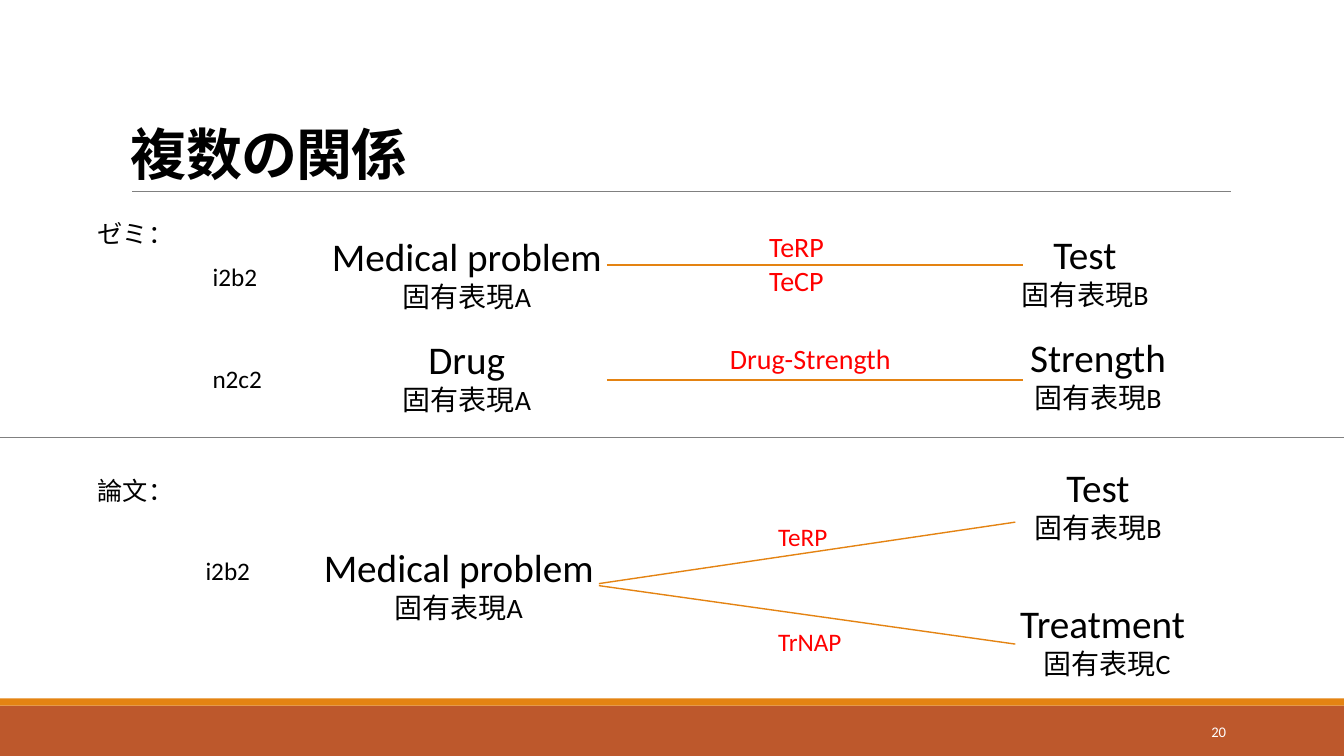
from lxml import etree
from pptx import Presentation
from pptx.dml.color import RGBColor
from pptx.enum.shapes import MSO_CONNECTOR, MSO_SHAPE
from pptx.enum.text import MSO_ANCHOR, MSO_AUTO_SIZE, PP_ALIGN
from pptx.oxml.ns import qn
from pptx.util import Inches, Pt

BLACK = RGBColor(0x00, 0x00, 0x00)
WHITE = RGBColor(0xFF, 0xFF, 0xFF)
RED = RGBColor(0xFF, 0x00, 0x00)
GREY = RGBColor(0x80, 0x80, 0x80)
ORANGE = RGBColor(0xE4, 0x83, 0x12)
RUST = RGBColor(0xBD, 0x58, 0x2C)

LATIN_FONT = "Calibri"
JAPANESE_FONT = "Noto Sans CJK JP"

LEFT, CENTER, RIGHT = PP_ALIGN.LEFT, PP_ALIGN.CENTER, PP_ALIGN.RIGHT
TOP, MIDDLE, BOTTOM = MSO_ANCHOR.TOP, MSO_ANCHOR.MIDDLE, MSO_ANCHOR.BOTTOM
STRAIGHT = MSO_CONNECTOR.STRAIGHT
RECTANGLE = MSO_SHAPE.RECTANGLE
GROW = MSO_AUTO_SIZE.SHAPE_TO_FIT_TEXT
FIXED = MSO_AUTO_SIZE.NONE

SLIDE_WIDTH, SLIDE_HEIGHT = 13.33, 7.5
ENTITY_WIDTH, ENTITY_HEIGHT = 3, 0.91
LABEL_HEIGHT = 0.4
LINK_WIDTH = 4.13


def add_text(page, box, lines, color=BLACK, align=LEFT, anchor=TOP,
             font=LATIN_FONT, auto_size=GROW):
    """Place (text, size) lines in a box and return their spans."""
    shape = page.shapes.add_textbox(*(Inches(value) for value in box))
    frame = shape.text_frame
    frame.word_wrap = True
    frame.auto_size = auto_size
    frame.vertical_anchor = anchor
    spans = []
    for index, (text, size) in enumerate(lines):
        para = frame.add_paragraph() if index else frame.paragraphs[0]
        para.alignment = align
        span = para.add_run()
        span.text = text
        span.font.name = font
        span.font.size = Pt(size)
        span.font.color.rgb = color
        east_asian = etree.SubElement(span.font._element, qn("a:ea"))
        east_asian.set("typeface", JAPANESE_FONT)
        spans.append(span)
    return shape, spans


def add_line(page, start, end, color=ORANGE, width=1):
    points = (Inches(value) for value in (*start, *end))
    line = page.shapes.add_connector(STRAIGHT, *points)
    line.line.color.rgb = color
    line.line.width = Pt(width)
    etree.SubElement(line._element.spPr, qn("a:effectLst"))


def add_band(page, top, height, color):
    band = page.shapes.add_shape(RECTANGLE, 0, Inches(top),
                                 Inches(SLIDE_WIDTH), Inches(height))
    band.shadow.inherit = False
    band.fill.solid()
    band.fill.fore_color.rgb = color
    band.line.fill.background()


def add_entity(page, left, top, name, letter):
    add_text(page, (left, top, ENTITY_WIDTH, ENTITY_HEIGHT),
             [(name, 28), (f"固有表現{letter}", 20)], align=CENTER)


def add_label(page, left, top, text, width=1.5):
    add_text(page, (left, top, width, LABEL_HEIGHT), [(text, 18)])


def add_frame(page):
    # Footer bands and slide number
    add_band(page, 7, 0.5, RUST)
    add_band(page, 6.93, 0.07, ORANGE)
    add_text(page, (10.83, 7.06, 1.43, LABEL_HEIGHT), [("20", 10.5)],
             WHITE, RIGHT, MIDDLE, auto_size=FIXED)
    # Title and its rule
    add_line(page, (1.31, 1.9), (12.21, 1.9), GREY, 0.5)
    title, (span,) = add_text(page, (1.2, 0.31, 11, 1.59), [("複数の関係", 40)],
                              anchor=BOTTOM, font=JAPANESE_FONT, auto_size=FIXED)
    title.text_frame.paragraphs[0].line_spacing = 0.85
    span.font.bold = True
    span.font._element.set("spc", "-50")


def add_seminar(page, left, top):
    """One relation line between each pair of entities."""
    add_label(page, left, top, "ゼミ：")
    # Corpus, its offset, entity A, entity B with its left, line offset
    rows = [("i2b2", 0.42, "Medical problem", "Test", 8.39, 0.51),
            ("n2c2", 1.44, "Drug", "Strength", 8.52, 1.65)]
    for corpus, offset, first, second, second_left, line_offset in rows:
        add_label(page, left + 1.14, top + offset, corpus)
        add_entity(page, left + 2.26, top + offset - 0.28, first, "A")
        add_entity(page, left + second_left, top + offset - 0.3, second, "B")
        start = left + 5.15
        add_line(page, (start, top + line_offset),
                 (start + LINK_WIDTH, top + line_offset))
    # Relation names
    add_text(page, (left + 6.66, top + 0.11, 1.31, 0.77),
             [("TeRP", 20), ("TeCP", 20)], RED)
    add_text(page, (left + 6.27, top + 1.22, 1.97, 0.44),
             [("Drug-Strength", 20)], RED)


def add_paper(page, left, top):
    """One entity that branches to two others."""
    add_label(page, left, top, "論文：")
    add_label(page, left + 1.07, top + 0.79, "i2b2")
    add_entity(page, left + 2.18, top + 0.67, "Medical problem", "A")
    # Name, letter, left, top, line start and end, relation and its top
    branches = [("Test", "B", 8.52, -0.12, 1.12, 0.51, "TeRP", 0.45),
                ("Treatment ", "C", 8.61, 1.23, 1.14, 1.72, "TrNAP", 1.49)]
    for name, letter, x, y, start, end, relation, relation_top in branches:
        add_entity(page, left + x, top + y, name, letter)
        add_line(page, (left + 5.07, top + start),
                 (left + 5.07 + LINK_WIDTH, top + end))
        add_text(page, (left + 6.75, top + relation_top, 0.97, LABEL_HEIGHT),
                 [(relation, 18)], RED)


def main():
    deck = Presentation()
    deck.slide_width = Inches(SLIDE_WIDTH)
    deck.slide_height = Inches(SLIDE_HEIGHT)
    page = deck.slides.add_slide(deck.slide_layouts[6])
    add_frame(page)
    add_seminar(page, 0.87, 2.12)
    # Divider between the two halves
    add_line(page, (0, 4.34), (SLIDE_WIDTH, 4.34), GREY, 0.5)
    add_paper(page, 0.87, 4.67)
    deck.save("out.pptx")


if __name__ == "__main__":
    main()
